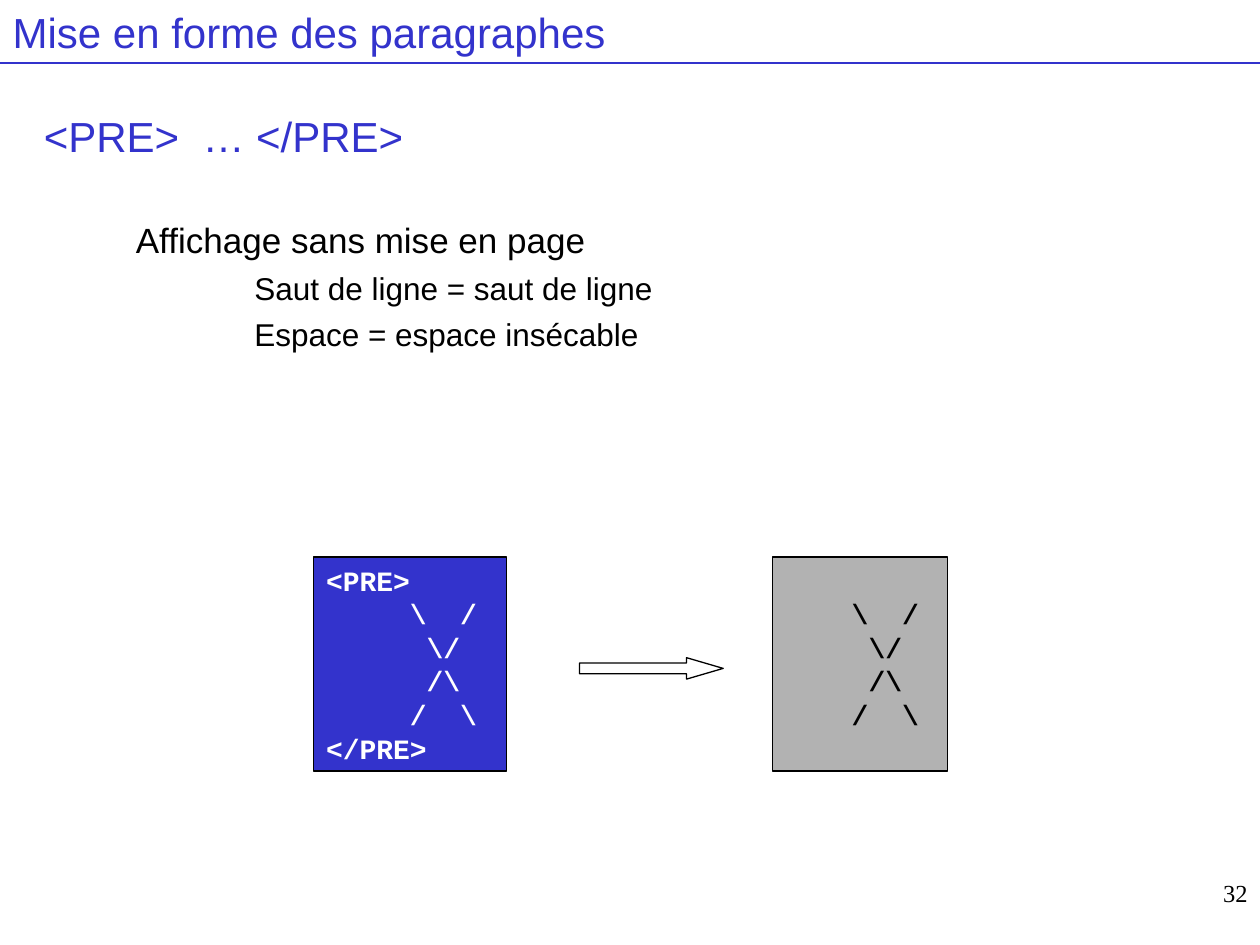
from lxml.etree import SubElement
from pptx import Presentation
from pptx.dml.color import RGBColor
from pptx.enum.shapes import MSO_CONNECTOR, MSO_SHAPE
from pptx.enum.text import MSO_ANCHOR, PP_ALIGN
from pptx.oxml.ns import qn
from pptx.util import Inches, Pt

COLORS = {"blue": "3333CC", "gray": "B2B2B2", "black": "000000", "white": "FFFFFF"}

CROSS = [r" \  /", r"  \/", r"  /\ ".rstrip(), r" /  \ ".rstrip()]
SOURCE_INDENT, RESULT_INDENT = " " * 4, " " * 3

BODY = [
    ("<PRE>  … </PRE>", 24, "blue", 0, 0),
    ("Affichage sans mise en page", 20, "black", 0.73, 33),
    ("Saut de ligne = saut de ligne", 18, "black", 1.67, 4.5),
    ("Espace = espace insécable", 18, "black", 1.67, 4.5),
]


def rgb(name):
    """Return the named colour."""
    return RGBColor.from_string(COLORS[name])


def set_font(paragraph, size, color, name="Arial", bold=False):
    """Format a whole paragraph."""
    font = paragraph.font
    font.size, font.name, font.bold = Pt(size), name, bold
    font.color.rgb = rgb(color)


def add_title(slide, left, top, width, height):
    """Place the title and the rule along its bottom edge."""
    title = slide.shapes.title
    title.left, title.top = Inches(left), Inches(top)
    title.width, title.height = Inches(width), Inches(height)
    frame = title.text_frame
    frame.text = "Mise en forme des paragraphes"
    frame.vertical_anchor = MSO_ANCHOR.MIDDLE
    frame.paragraphs[0].alignment = PP_ALIGN.LEFT
    set_font(frame.paragraphs[0], 24, "blue")
    bottom = Inches(top + height)
    rule = slide.shapes.add_connector(
        MSO_CONNECTOR.STRAIGHT, Inches(left), bottom, Inches(left + width), bottom)
    rule.line.color.rgb = rgb("blue")
    rule.line.width = Pt(0.75)
    SubElement(rule._element.spPr, qn("a:effectLst"))


def add_body(slide, left, top, width, height):
    """Place the indented explanation of the tag."""
    box = slide.shapes.add_textbox(Inches(left), Inches(top), Inches(width), Inches(height))
    frame = box.text_frame
    frame.word_wrap = True
    for index, (text, size, color, indent, space) in enumerate(BODY):
        paragraph = frame.add_paragraph() if index else frame.paragraphs[0]
        paragraph.text = text
        paragraph._p.get_or_add_pPr().set("marL", str(Inches(indent)))
        paragraph.space_before = Pt(space)
        set_font(paragraph, size, color)


def add_block(slide, kind, left, top, width, height, fill):
    """Add a filled shape with a thin black outline."""
    shape = slide.shapes.add_shape(
        kind, Inches(left), Inches(top), Inches(width), Inches(height))
    shape.shadow.inherit = False
    shape.fill.solid()
    shape.fill.fore_color.rgb = rgb(fill)
    shape.line.color.rgb = rgb("black")
    shape.line.width = Pt(0.75)
    return shape


def add_code(slide, left, top, width, height, lines, fill, color):
    """Place a panel of monospaced lines."""
    panel = add_block(slide, MSO_SHAPE.RECTANGLE, left, top, width, height, fill)
    frame = panel.text_frame
    frame.word_wrap = True
    frame.vertical_anchor = MSO_ANCHOR.MIDDLE
    frame.text = "\n".join(lines)
    for paragraph in frame.paragraphs:
        paragraph.alignment = PP_ALIGN.LEFT
        paragraph.line_spacing = Pt(19.2)
        set_font(paragraph, 16, color, "Courier New", True)


def add_example(slide, left, top, width, height):
    """Place the source panel, the arrow and the displayed result."""
    source_width, result_width = 1.53, 1.39
    source = ["<PRE>", *(SOURCE_INDENT + line for line in CROSS), "</PRE>"]
    add_code(slide, left, top, source_width, height, source, "blue", "white")
    arrow = add_block(slide, MSO_SHAPE.RIGHT_ARROW, left + 2.11, top + 0.8, 1.14, 0.17, "white")
    arrow.adjustments[0], arrow.adjustments[1] = 0.5, 1.71
    result = [RESULT_INDENT + line for line in CROSS]
    add_code(slide, left + width - result_width, top, result_width, height,
             result, "gray", "black")


def add_number(slide, left, top, width, height):
    """Place the page number at the right."""
    box = slide.shapes.add_textbox(Inches(left), Inches(top), Inches(width), Inches(height))
    box.text_frame.word_wrap = True
    paragraph = box.text_frame.paragraphs[0]
    paragraph.text = "32"
    paragraph.alignment = PP_ALIGN.RIGHT
    set_font(paragraph, 14, "black", "Times New Roman")


def main():
    """Build and save the slide."""
    presentation = Presentation()
    presentation.slide_width, presentation.slide_height = Inches(10), Inches(7.5)
    slide = presentation.slides.add_slide(presentation.slide_layouts[5])
    add_title(slide, 0, 0, 10, 0.5)
    add_body(slide, 0.25, 0.83, 9.48, 2.92)
    add_example(slide, 2.49, 4.42, 5.03, 1.7)
    add_number(slide, 7.92, 6.92, 2.08, 0.5)
    presentation.save("out.pptx")


if __name__ == "__main__":
    main()
